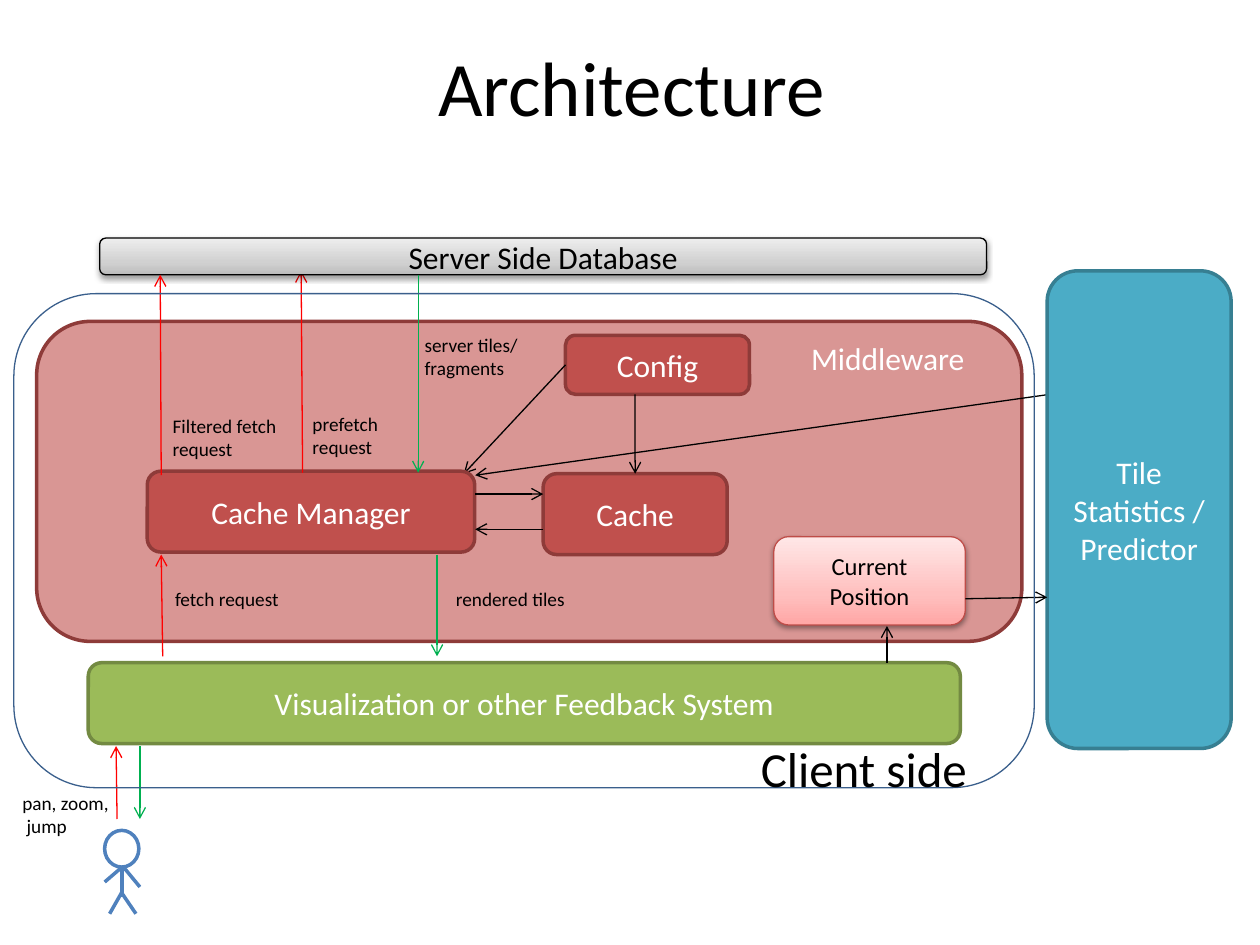
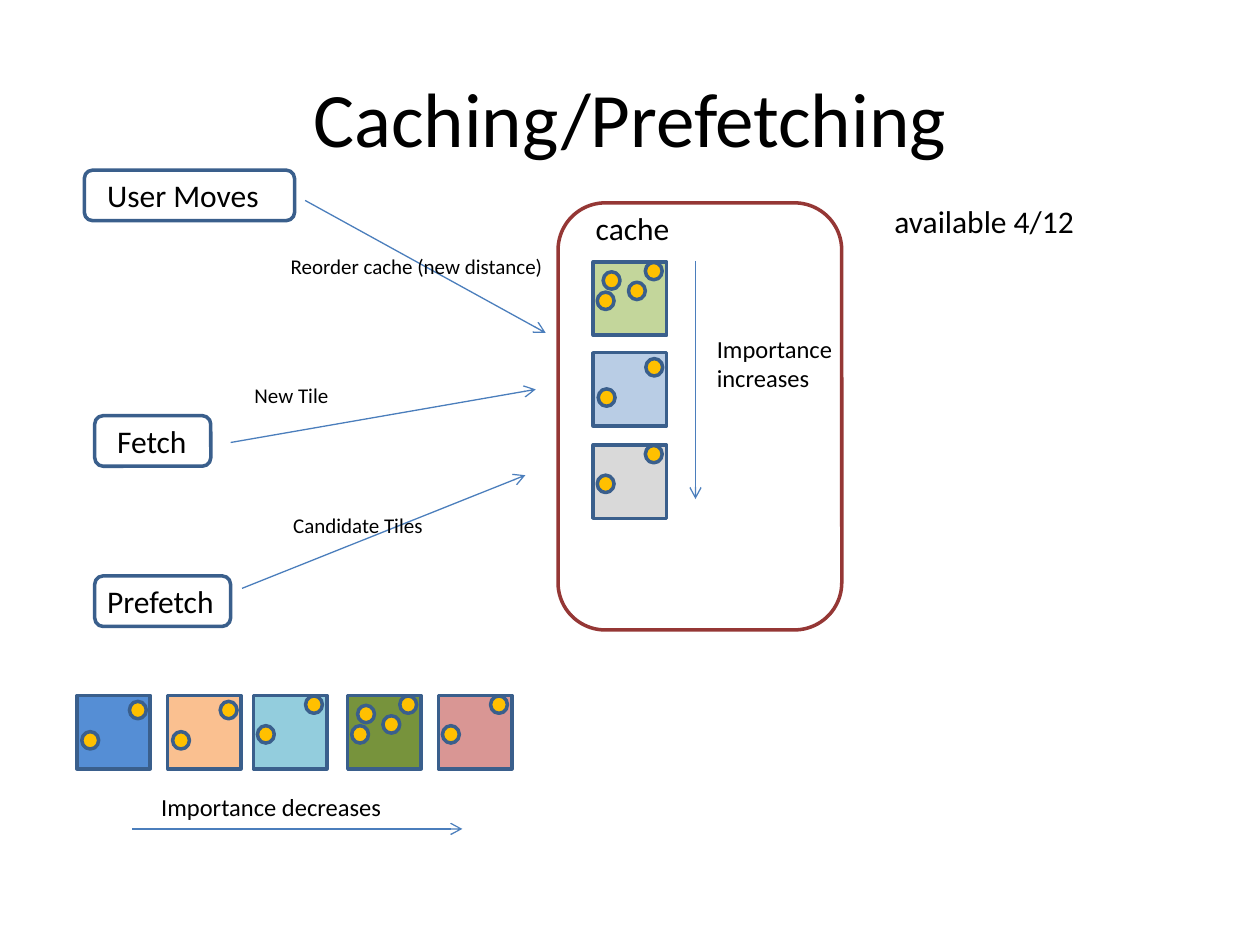
from lxml import etree
from pptx import Presentation
from pptx.dml.color import RGBColor
from pptx.enum import shapes, text
from pptx.oxml import ns
from pptx.util import Cm, Pt

FONT = "Calibri"
BLACK = RGBColor(0x00, 0x00, 0x00)
WHITE = RGBColor(0xFF, 0xFF, 0xFF)
RED = RGBColor(0xFF, 0x00, 0x00)
GREEN = RGBColor(0x00, 0xB0, 0x50)
ROSE = RGBColor(0xD9, 0x96, 0x94)
BRICK = RGBColor(0xC0, 0x50, 0x4D)
RUST = RGBColor(0x8E, 0x3B, 0x39)
WINE = RGBColor(0x95, 0x37, 0x35)
OLIVE = RGBColor(0x9B, 0xBB, 0x59)
MOSS = RGBColor(0x73, 0x8A, 0x42)
TEAL = RGBColor(0x4B, 0xAC, 0xC6)
DEEP = RGBColor(0x37, 0x7F, 0x92)
CORAL = RGBColor(0xBF, 0x4C, 0x48)
NAVY = RGBColor(0x3A, 0x5F, 0x8C)
BLUE = RGBColor(0x4F, 0x81, 0xBD)
STEEL = RGBColor(0x4B, 0x7E, 0xBC)
GOLD = RGBColor(0xFF, 0xC0, 0x00)
LIME = RGBColor(0xC3, 0xD6, 0x9B)
SKY = RGBColor(0xB9, 0xCD, 0xE5)
SILVER = RGBColor(0xD9, 0xD9, 0xD9)
AZURE = RGBColor(0x55, 0x8E, 0xD5)
PEACH = RGBColor(0xFA, 0xC0, 0x90)
AQUA = RGBColor(0x93, 0xCD, 0xDD)
FERN = RGBColor(0x77, 0x93, 0x3C)

# Gradient stops from bottom to top: (percent, colour)
PINK_FADE = ((0, "FFA6A5"), (35, "FFC0BF"), (100, "FFE7E7"))
GREY_FADE = ((0, "BDBDBD"), (35, "D1D1D1"), (100, "EEEEEE"))

ROUND = shapes.MSO_SHAPE.ROUNDED_RECTANGLE
RECT = shapes.MSO_SHAPE.RECTANGLE
OVAL = shapes.MSO_SHAPE.OVAL

# Dot places inside a tile, in cm from its corner
MANY = ((0.2, 0.2), (0.08, 0.61), (0.71, 0.41), (1.05, 0.01))
HIGH = MANY[1::2]
LOW = ((0.1, 0.73), (1.06, 0.12))
SIDE = 1.48


def cms(nums):
    return [Cm(n) for n in nums]


def node(parent, tag, **attrs):
    """Add a drawing element under parent."""
    return etree.SubElement(parent, ns.qn(tag), attrs)


class Page:
    """One slide and the style that all its elements share."""

    def __init__(self, deck, title, at):
        self.slide = deck.slides.add_slide(deck.slide_layouts[5])
        self.shapes = self.slide.shapes
        head = self.shapes.title
        head.left, head.top, head.width, head.height = cms(at)
        head.text_frame.vertical_anchor = text.MSO_ANCHOR.MIDDLE
        self.put(head.text_frame, title, 44, BLACK, text.PP_ALIGN.CENTER)

    def put(self, frame, words, size, color, align):
        """Fill a text frame, one paragraph a line."""
        for i, line in enumerate(words.split("\n")):
            para = frame.add_paragraph() if i else frame.paragraphs[0]
            para.alignment = align
            run = para.add_run()
            run.text = line
            run.font.name = FONT
            run.font.size = Pt(size)
            run.font.color.rgb = color

    def box(self, at, fill, line, width=2, words="", size=18, color=WHITE,
            kind=ROUND, home=None):
        shape = (home or self.shapes).add_shape(kind, *cms(at))
        shape.shadow.inherit = False
        if fill is None:
            shape.fill.background()
        else:
            shape.fill.solid()
            shape.fill.fore_color.rgb = fill
        shape.line.color.rgb = line
        shape.line.width = Pt(width)
        if words:
            shape.text_frame.vertical_anchor = text.MSO_ANCHOR.MIDDLE
            self.put(shape.text_frame, words, size, color,
                     text.PP_ALIGN.CENTER)
        return shape

    def raised(self, at, stops, line, words, size):
        """Box with a gradient and a soft shadow below."""
        shape = self.box(at, WHITE, line, 0.75, words, size, BLACK)
        shape.fill.gradient()
        shape.fill.gradient_angle = 90
        props = shape._element.spPr
        ramp = props.find(".//" + ns.qn("a:gsLst"))
        for old in list(ramp):
            ramp.remove(old)
        for pos, color in stops:
            stop = node(ramp, "a:gs", pos=str(pos * 1000))
            node(stop, "a:srgbClr", val=color)
        cast = node(props.find(ns.qn("a:effectLst")), "a:outerShdw",
                    blurRad="40000", dist="20000", dir="5400000",
                    rotWithShape="0")
        tint = node(cast, "a:srgbClr", val="000000")
        node(tint, "a:alpha", val="38000")

    def label(self, at, words, size=11, color=BLACK, wrap=True):
        frame = self.shapes.add_textbox(*cms(at)).text_frame
        frame.word_wrap = wrap
        frame.auto_size = text.MSO_AUTO_SIZE.SHAPE_TO_FIT_TEXT
        self.put(frame, words, size, color, text.PP_ALIGN.LEFT)

    def line(self, ends, color, width=0.75):
        link = self.shapes.add_connector(
            shapes.MSO_CONNECTOR.STRAIGHT, *cms(ends))
        link.line.color.rgb = color
        link.line.width = Pt(width)
        node(link._element.spPr, "a:effectLst")
        return link

    def arrow(self, ends, color=BLACK):
        link = self.line(ends, color)
        node(link._element.spPr.find(ns.qn("a:ln")), "a:tailEnd", type="arrow")
        return link

    def tile(self, x, y, fill, dots):
        home = self.shapes.add_group_shape().shapes
        self.box((x, y, SIDE, SIDE), fill, NAVY, kind=RECT, home=home)
        for dx, dy in dots:
            self.box((x + dx, y + dy, 0.34, 0.35), GOLD, NAVY,
                     kind=OVAL, home=home)


def design(deck):
    """Architecture slide."""
    page = Page(deck, "Architecture", (3.43, 0.64, 18.62, 2.18))
    page.box((0.74, 6.48, 19.86, 6.45), ROSE, RUST)
    cache = page.box((10.95, 9.55, 3.71, 1.63), BRICK, RUST, words="Cache")
    config = page.box((11.4, 6.76, 3.71, 1.19), BRICK, RUST, words="Config")
    page.arrow((12.8, 7.95, 12.8, 9.55)).end_connect(cache, 0)
    page.arrow((11.4, 7.36, 9.35, 9.55)).begin_connect(config, 1)
    page.box((2.97, 9.5, 6.6, 1.63), BRICK, RUST, words="Cache Manager")
    page.arrow((9.58, 9.96, 10.95, 9.96))
    page.arrow((10.95, 10.67, 9.58, 10.67))
    page.box((1.78, 13.36, 17.58, 1.63), OLIVE, MOSS,
             words="Visualization or other Feedback System")
    page.arrow((21.16, 7.95, 9.58, 9.58))
    page.arrow((6.1, 9.53, 6.07, 5.46), RED)
    page.box((21.11, 5.46, 3.71, 9.63), TEAL, DEEP,
             words="Tile Statistics / Predictor")
    page.raised((15.6, 10.82, 3.86, 1.78), PINK_FADE, CORAL,
                "Current Position", 14)
    page.raised((2.01, 4.8, 17.88, 0.74), GREY_FADE, BLACK,
                "Server Side Database", 18)

    for ends, color in (
        ((3.28, 13.23, 3.25, 11.18), RED),
        ((3.25, 9.58, 3.23, 5.54), RED),
        ((2.36, 16.51, 2.34, 15.04), RED),
        ((8.43, 5.54, 8.43, 9.53), GREEN),
        ((8.81, 11.18, 8.81, 13.23), GREEN),
        ((2.82, 15.04, 2.82, 16.51), GREEN),
        ((17.88, 13.36, 17.88, 12.62), BLACK),
        ((19.46, 12.07, 21.11, 12.04), BLACK),
    ):
        page.arrow(ends, color)

    for at, words in (
        ((3.28, 11.71, 4.01, 0.74), "fetch request"),
        ((8.94, 11.71, 4.01, 0.74), "rendered tiles"),
        ((6.05, 8.18, 2.54, 1.19), "prefetch\nrequest"),
        ((3.23, 8.23, 2.82, 1.19), "Filtered fetch\nrequest"),
        ((8.31, 6.6, 2.54, 1.19), "server tiles/\nfragments"),
        ((0.2, 15.82, 4.01, 1.19), "pan, zoom,\n jump"),
    ):
        page.label(at, words)
    page.box((0.28, 5.92, 20.57, 9.96), None, NAVY, 0.75)
    page.label((15.09, 14.76, 6.93, 1.45), "Client side", 28)
    page.label((16.1, 6.71, 4.09, 1.02), "Middleware", 18, WHITE)

    # Stick figure of the user
    page.box((2.11, 16.74, 0.69, 0.74), WHITE, BLUE, kind=OVAL)
    for limb in (
        (2.46, 17.48, 2.46, 18.08),
        (2.49, 17.48, 2.82, 17.88),
        (2.11, 17.78, 2.46, 17.48),
        (2.44, 17.98, 2.74, 18.42),
        (2.46, 17.98, 2.21, 18.42),
    ):
        page.line(limb, BLUE, 2)


def caching(deck):
    """Caching and prefetching slide."""
    page = Page(deck, "Caching/Prefetching", (1.27, 0.76, 22.86, 3.18))
    for y, left, width, inset, span, words in (
        (3.43, 1.7, 4.24, 1.91, 3.61, "User Moves"),
        (8.38, 1.91, 2.34, 2.11, 1.93, "Fetch"),
        (11.61, 1.91, 2.74, 1.91, 2.9, "Prefetch"),
    ):
        page.box((left, y, width, 1.02), None, NAVY)
        page.label((inset, y, span, 1.02), words, 18, wrap=False)

    page.box((11.25, 4.09, 5.72, 8.61), None, WINE)
    for y, fill, dots in (
        (5.28, LIME, MANY), (7.11, SKY, LOW), (8.97, SILVER, HIGH),
    ):
        page.tile(11.96, y, fill, dots)
    for x, fill, dots in (
        (1.55, AZURE, LOW), (3.38, PEACH, LOW), (5.11, AQUA, HIGH),
        (7.01, FERN, MANY), (8.84, ROSE, HIGH),
    ):
        page.tile(x, 14.02, fill, dots)

    for ends in (
        (14.02, 5.26, 14.02, 10.06),
        (6.15, 4.04, 11, 6.71),
        (4.65, 8.92, 10.8, 7.85),
        (4.88, 11.86, 10.59, 9.58),
        (2.67, 16.71, 9.32, 16.71),
    ):
        page.arrow(ends, STEEL)
    for at, words, size in (
        ((11.76, 4.09, 2.01, 1.02), "cache", 18),
        ((17.78, 3.94, 4.17, 1.02), "available 4/12", 18),
        ((14.2, 6.6, 2.97, 1.45), "Importance\nincreases", 14),
        ((5.61, 4.98, 5.64, 0.76), "Reorder cache (new distance)", 12),
        ((4.88, 7.59, 2.03, 0.76), "New Tile", 12),
        ((5.66, 10.21, 3.15, 0.76), "Candidate Tiles", 12),
    ):
        page.label(at, words, size, wrap=False)
    page.label((3, 15.85, 6.25, 0.86), "Importance decreases", 14)


def main():
    deck = Presentation()
    deck.slide_width, deck.slide_height = Cm(25.4), Cm(19.05)
    design(deck)
    caching(deck)
    deck.save("out.pptx")


if __name__ == "__main__":
    main()
